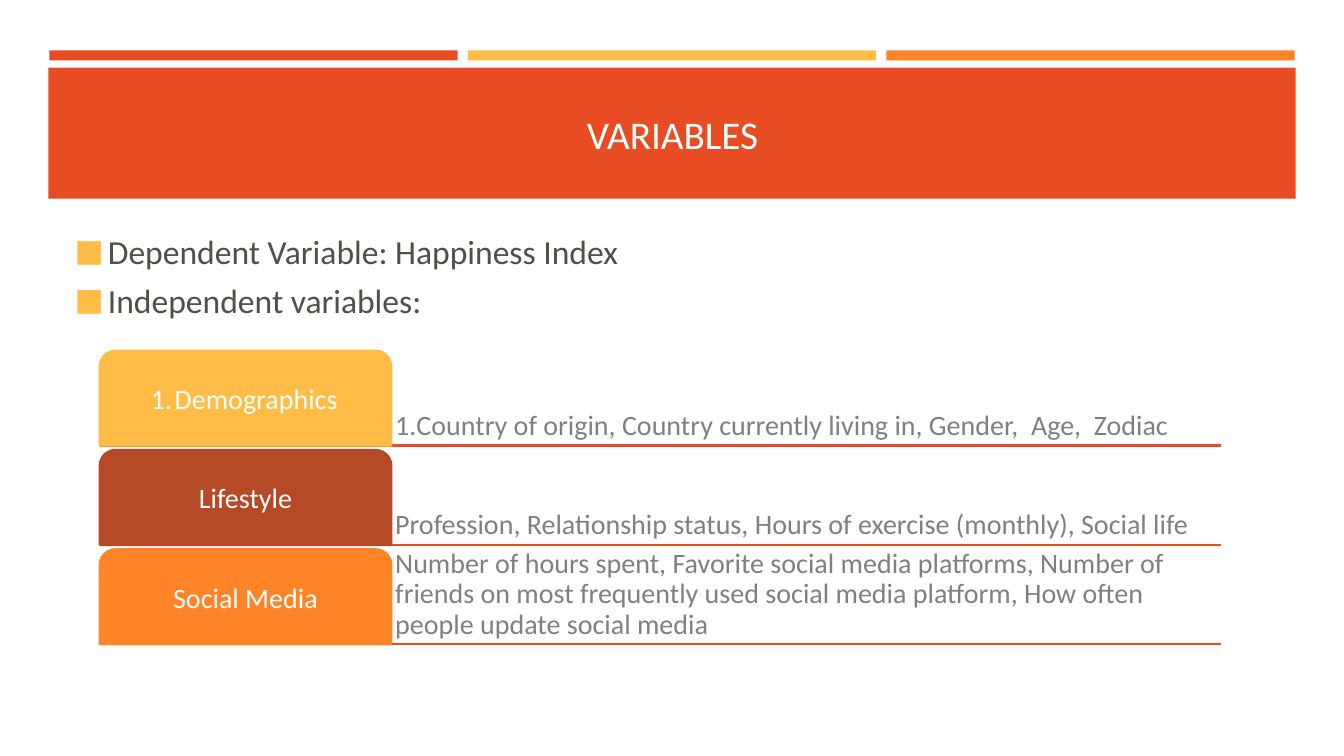
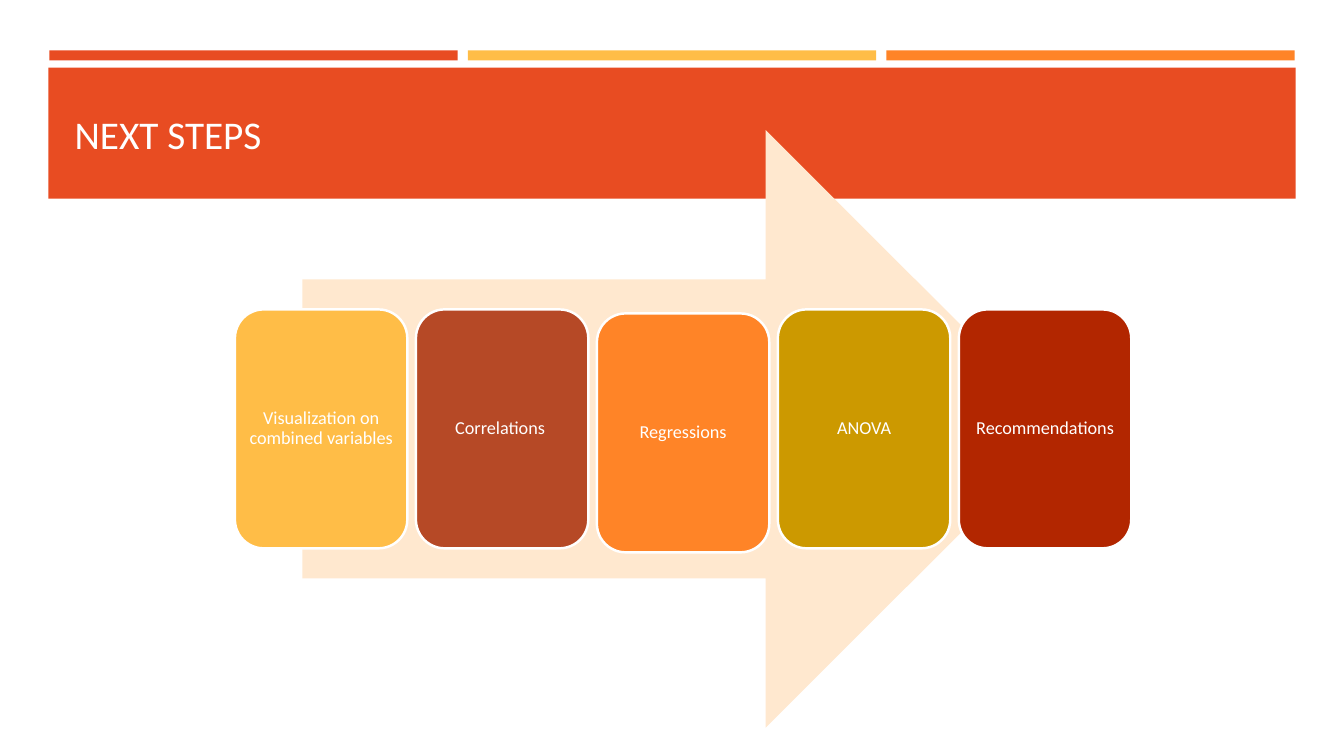
"""Build two slides: the study variables and the next analysis steps."""
import lxml.etree
import pptx
import pptx.dml.color
import pptx.enum.shapes
import pptx.enum.text
import pptx.oxml.ns
import pptx.util

Inches = pptx.util.Inches
Pt = pptx.util.Pt
RGBColor = pptx.dml.color.RGBColor
SHAPE = pptx.enum.shapes.MSO_SHAPE
ALIGN = pptx.enum.text.PP_ALIGN
ANCHOR = pptx.enum.text.MSO_ANCHOR
qn = pptx.oxml.ns.qn

FONT = "Calibri"
RED = RGBColor(0xE8, 0x4C, 0x22)
YELLOW = RGBColor(0xFF, 0xBD, 0x47)
ORANGE = RGBColor(0xFF, 0x84, 0x27)
BROWN = RGBColor(0xB6, 0x49, 0x26)
OCHRE = RGBColor(0xCC, 0x99, 0x00)
CRIMSON = RGBColor(0xB2, 0x26, 0x00)
PEACH = RGBColor(0xFF, 0xE8, 0xCF)
WHITE = RGBColor(0xFF, 0xFF, 0xFF)
GRAY = RGBColor(0x80, 0x80, 0x80)
DARK = RGBColor(0x50, 0x50, 0x46)


def add_block(slide, preset, left, top, width, height, fill, outline=None):
    block = slide.shapes.add_shape(
        preset, Inches(left), Inches(top), Inches(width), Inches(height))
    block.shadow.inherit = False
    block.fill.solid()
    block.fill.fore_color.rgb = fill
    if outline is None:
        block.line.fill.background()
    else:
        block.line.color.rgb = outline
        block.line.width = Pt(1.75)
    return block


def write_text(shape, lines, size, color, align, anchor, margin, spacing=1.0, bullets=()):
    frame = shape.text_frame
    frame.word_wrap = True
    frame.auto_size = pptx.enum.text.MSO_AUTO_SIZE.NONE
    frame.vertical_anchor = anchor
    frame.margin_left = frame.margin_right = Inches(margin)
    frame.margin_top = frame.margin_bottom = Inches(margin)
    frame.text = "\n".join(lines)
    for paragraph in frame.paragraphs:
        paragraph.alignment = align
        paragraph.line_spacing = spacing
        paragraph.space_before = Pt(0)
        properties = paragraph._p.get_or_add_pPr()
        for tag, attributes in bullets:
            lxml.etree.SubElement(properties, qn(tag), attributes)
        paragraph.font.name = FONT
        paragraph.font.size = Pt(size)
        paragraph.font.color.rgb = color


deck = pptx.Presentation()
deck.slide_width = Inches(13.33)
deck.slide_height = Inches(7.5)

variables = deck.slides.add_slide(deck.slide_layouts[1])
next_steps = deck.slides.add_slide(deck.slide_layouts[5])

bands = [add_block(variables, SHAPE.RECTANGLE, 0.49 + 4.15 * index, 0.5, 4.05, 0.1, color)
         for index, color in enumerate((RED, YELLOW, ORANGE))]
bands.append(add_block(variables, SHAPE.RECTANGLE, 0.48, 0.67, 12.37, 1.3, RED))
for index, band in enumerate(bands):
    band.element.nvSpPr.cNvPr.set("id", str(20 + index))
    deck.slide_master.shapes.element.insert(2 + index, band.element)

for slide, heading, align in ((variables, "VARIABLES", ALIGN.CENTER),
                              (next_steps, "NEXT STEPS", ALIGN.LEFT)):
    title = slide.shapes.title
    title.left, title.top = Inches(0.64), Inches(0.77)
    title.width, title.height = Inches(12.06), Inches(1.11)
    write_text(title, [heading], 28, WHITE, align, ANCHOR.MIDDLE, 0.1)

overview = variables.placeholders[1]
overview.left, overview.top = Inches(0.64), Inches(2.19)
overview.width, overview.height = Inches(12.06), Inches(1.28)
square_bullet = [("a:buClr", {}), ("a:buSzPct", {"val": "92000"}),
                 ("a:buFont", {"typeface": FONT}), ("a:buChar", {"char": "■"})]
write_text(overview, ["Dependent Variable: Happiness Index", "Independent variables:"],
           24, DARK, ALIGN.LEFT, ANCHOR.TOP, 0.1, bullets=square_bullet)
for paragraph in overview.text_frame.paragraphs:
    paragraph.space_after = Pt(6)
    properties = paragraph._p.get_or_add_pPr()
    properties.set("marL", str(Inches(0.33)))
    properties.set("indent", str(-Inches(0.33)))
    lxml.etree.SubElement(properties.find(qn("a:buClr")), qn("a:srgbClr"), {"val": str(YELLOW)})

numbered = [("a:buFont", {"typeface": FONT}), ("a:buAutoNum", {"type": "arabicPeriod"})]
categories = [
    ("Demographics", YELLOW, numbered,
     "Country of origin, Country currently living in, Gender,  Age,  Zodiac"),
    ("Lifestyle", BROWN, [],
     "Profession, Relationship status, Hours of exercise (monthly), Social life"),
    ("Social Media", ORANGE, [],
     "Number of hours spent, Favorite social media platforms, Number of friends on most "
     "frequently used social media platform, How often people update social media"),
]
row_pitch = (5.45 - 3.48) / 2
row_height = 0.94
for index, (category, color, bullets, details) in enumerate(categories):
    top = 3.48 + row_pitch * index
    rule_y = Inches(top + row_height)
    rule = variables.shapes.add_connector(
        pptx.enum.shapes.MSO_CONNECTOR.STRAIGHT, Inches(0.99), rule_y, Inches(12.11), rule_y)
    rule.line.color.rgb = RED
    rule.line.width = Pt(1.75)
    lxml.etree.SubElement(rule.element.spPr, qn("a:effectLst"))
    description = variables.shapes.add_textbox(
        Inches(3.88), Inches(top), Inches(8.23), Inches(row_height))
    write_text(description, [details], 20, GRAY, ALIGN.LEFT, ANCHOR.BOTTOM, 0.04, 0.9, bullets)
    tab = add_block(variables, SHAPE.ROUND_2_SAME_RECTANGLE, 0.99, top, 2.89, row_height,
                    color, color)
    write_text(tab, [category], 20, WHITE, ALIGN.CENTER, ANCHOR.MIDDLE, 0.04, 0.9, bullets)

add_block(next_steps, SHAPE.RIGHT_ARROW, 3, 1.29, 7.56, 5.93, PEACH)
steps = [
    ("Visualization on combined variables", YELLOW, 3.07),
    ("Correlations ", BROWN, 3.07),
    ("Regressions", ORANGE, 3.11),
    ("ANOVA", OCHRE, 3.07),
    ("Recommendations", CRIMSON, 3.07),
]
step_pitch = (9.51 - 2.33) / 4
for index, (step, color, top) in enumerate(steps):
    card = add_block(next_steps, SHAPE.ROUNDED_RECTANGLE, 2.33 + step_pitch * index, top,
                     1.71, 2.37, color, WHITE)
    write_text(card, [step], 13, WHITE, ALIGN.CENTER, ANCHOR.MIDDLE, 0.05, 0.9)

deck.save("out.pptx")
